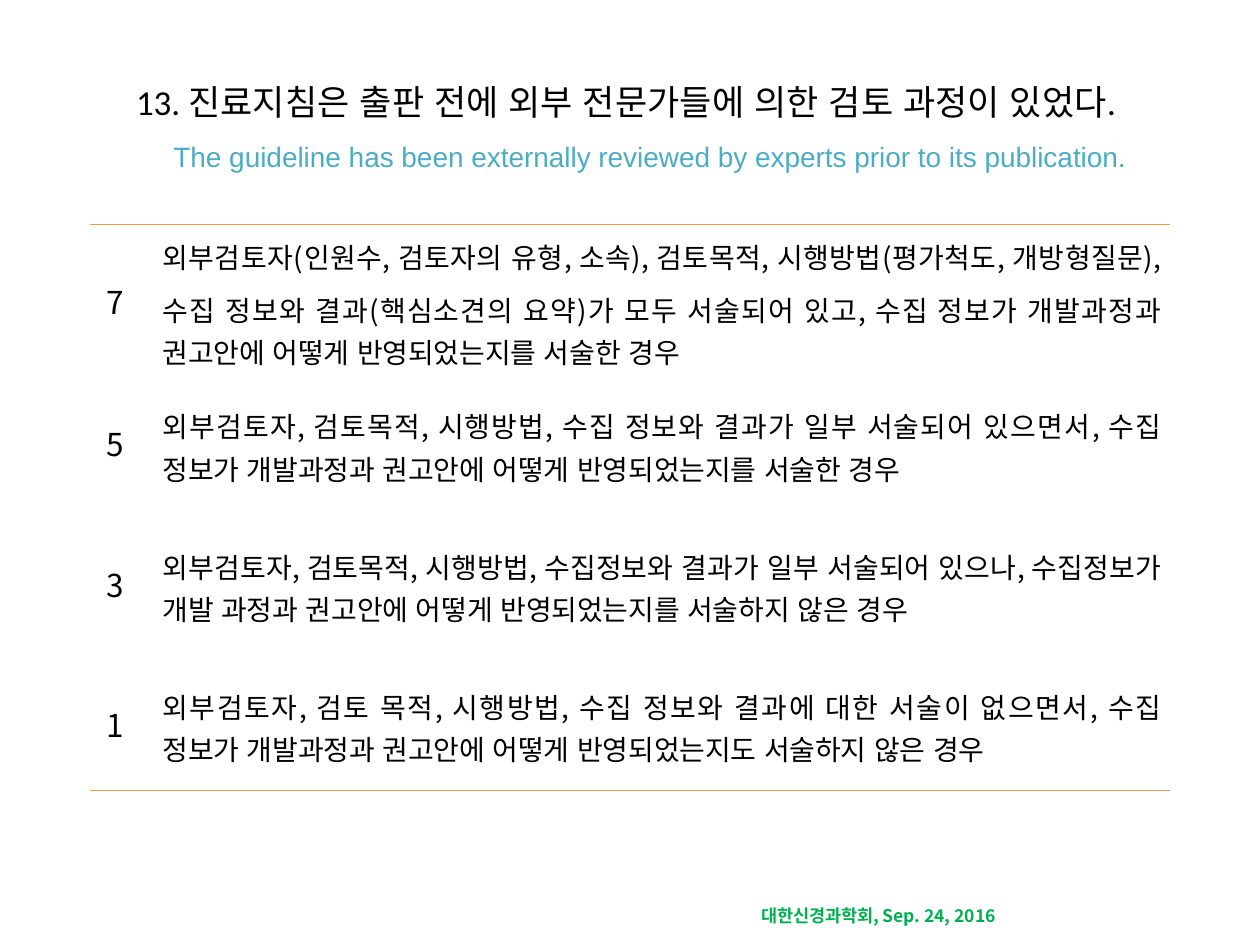
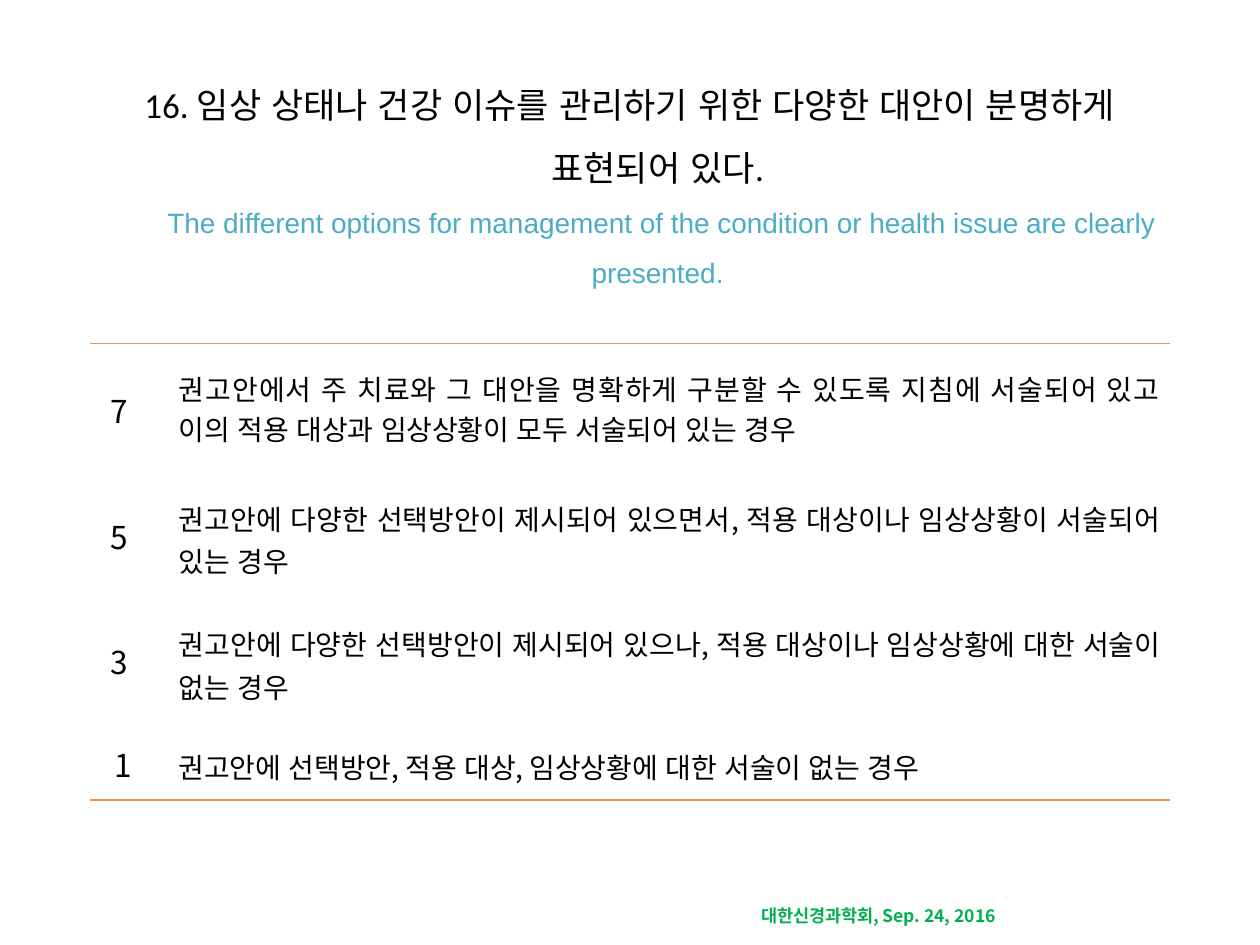
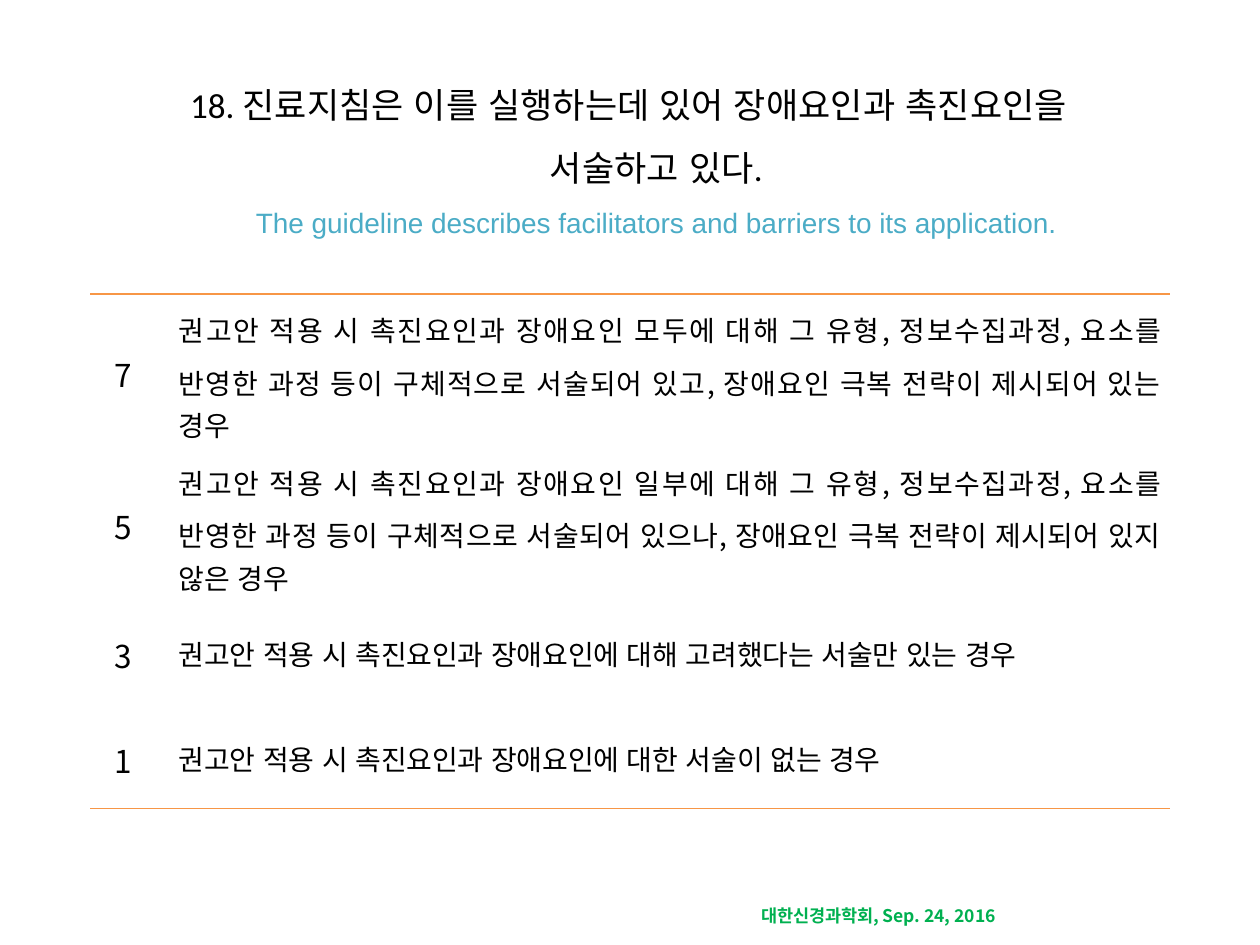
import pptx
import pptx.dml.color
import pptx.enum.text
import pptx.oxml
import pptx.oxml.ns
import pptx.util

RGB = pptx.dml.color.RGBColor
BLACK = RGB(0x00, 0x00, 0x00)
TEAL = RGB(0x4B, 0xAC, 0xC6)
GREEN = RGB(0x00, 0xB0, 0x50)
ORANGE = RGB(0xF7, 0x96, 0x46)

KOREAN = "Noto Sans CJK KR"
EAST_ASIAN = "Arial"
ALIGN = pptx.enum.text.PP_ALIGN
MIDDLE = pptx.enum.text.MSO_ANCHOR.MIDDLE
NO_GRID_STYLE = "{2D5ABB26-0587-4C30-8999-92F81FD0307C}"

# The slide is a grid of 100 columns by 75 rows
COLUMNS, ROWS = 100, 75
TABLE_LEFT, TABLE_WIDTH = 7.15, 85.7

CRITERIA = [
    dict(
        korean="13. 진료지침은 출판 전에 외부 전문가들에 의한 검토 과정이 있었다. ",
        english="The guideline has been externally reviewed by experts prior to its publication. ",
        title_box=(5, 3, 90, 12.5), indent=3.8,
        table_top=17.8, score_width=5.05, heights=[11.14] * 4,
        levels=[
            ("7", "외부검토자(인원수, 검토자의 유형, 소속), 검토목적, 시행방법(평가척도, 개방형질문), "
                  "수집 정보와 결과(핵심소견의 요약)가 모두 서술되어 있고, "
                  "수집 정보가 개발과정과 권고안에 어떻게 반영되었는지를 서술한 경우"),
            ("5", "외부검토자, 검토목적, 시행방법, 수집 정보와 결과가 일부 서술되어 있으면서, "
                  "수집 정보가 개발과정과 권고안에 어떻게 반영되었는지를 서술한 경우"),
            ("3", "외부검토자, 검토목적, 시행방법, 수집정보와 결과가 일부 서술되어 있으나, "
                  "수집정보가 개발 과정과 권고안에 어떻게 반영되었는지를 서술하지 않은 경우"),
            ("1", "외부검토자, 검토 목적, 시행방법, 수집 정보와 결과에 대한 서술이 없으면서, "
                  "수집 정보가 개발과정과 권고안에 어떻게 반영되었는지도 서술하지 않은 경우"),
        ]),
    dict(
        korean="16. 임상 상태나 건강 이슈를 관리하기 위한 다양한 대안이 분명하게 표현되어 있다. ",
        english="The different options for management of the condition or health issue "
                "are clearly presented. ",
        title_box=(5, 6.15, 90, 15.6), indent=5,
        table_top=27.27, score_width=6.35, heights=[9.97, 9.97, 9.97, 6.3],
        levels=[
            ("7 ", "권고안에서 주 치료와 그 대안을 명확하게 구분할 수 있도록 지침에 서술되어 있고 "
                   "이의 적용 대상과 임상상황이 모두 서술되어 있는 경우"),
            ("5 ", "권고안에 다양한 선택방안이 제시되어 있으면서, "
                   "적용 대상이나 임상상황이 서술되어 있는 경우"),
            ("3 ", "권고안에 다양한 선택방안이 제시되어 있으나, "
                   "적용 대상이나 임상상황에 대한 서술이 없는 경우"),
            ("1", "권고안에 선택방안, 적용 대상, 임상상황에 대한 서술이 없는 경우"),
        ]),
    dict(
        korean="18. 진료지침은 이를 실행하는데 있어 장애요인과 촉진요인을 서술하고 있다. ",
        english="The guideline describes facilitators and barriers to its application. ",
        title_box=(9.7, 4.55, 80.4, 14.8), indent=5,
        table_top=23.33, score_width=6.35, heights=[12.1, 12.1, 8.33, 8.33],
        levels=[
            ("7", "권고안 적용 시 촉진요인과 장애요인 모두에 대해 그 유형, 정보수집과정, "
                  "요소를 반영한 과정 등이 구체적으로 서술되어 있고, "
                  "장애요인 극복 전략이 제시되어 있는 경우"),
            ("5", "권고안 적용 시 촉진요인과 장애요인 일부에 대해 그 유형, 정보수집과정, "
                  "요소를 반영한 과정 등이 구체적으로 서술되어 있으나, "
                  "장애요인 극복 전략이 제시되어 있지 않은 경우"),
            ("3", "권고안 적용 시 촉진요인과 장애요인에 대해 고려했다는 서술만 있는 경우"),
            ("1", "권고안 적용 시 촉진요인과 장애요인에 대한 서술이 없는 경우"),
        ]),
]


def grid(units):
    return pptx.util.Inches(units / 10)


def write(paragraph, text, size, font=KOREAN, color=BLACK, bold=False,
          align=ALIGN.LEFT, spacing=1.0):
    """Append a formatted run to the paragraph."""
    paragraph.alignment = align
    paragraph.line_spacing = spacing
    run = paragraph.add_run()
    run.text = text
    run.font.size = pptx.util.Pt(size)
    run.font.name = font
    run.font.bold = bold
    run.font.color.rgb = color
    east_asian = pptx.oxml.parse_xml(
        f'<a:ea {pptx.oxml.ns.nsdecls("a")} typeface="{EAST_ASIAN}"/>')
    run.font._element.find(pptx.oxml.ns.qn("a:latin")).addnext(east_asian)


def add_footer(layout, slide):
    """Build the footer on a slide, then move it to the shared layout."""
    footer = slide.shapes.add_textbox(*map(grid, (59.45, 71.35, 24.4, 2.7)))
    footer.text_frame.word_wrap = True
    write(footer.text_frame.paragraphs[0], "대한신경과학회, Sep. 24, 2016",
          10, color=GREEN, bold=True)
    footer.element.nvSpPr.cNvPr.set("id", "20")
    layout.shapes.element.append(footer.element)


def set_title(slide, korean, english, box, indent):
    title = slide.shapes.title
    title.left, title.top, title.width, title.height = map(grid, box)
    frame = title.text_frame
    frame.auto_size = pptx.enum.text.MSO_AUTO_SIZE.NONE
    frame.vertical_anchor = MIDDLE
    heading = frame.paragraphs[0]
    properties = heading._p.get_or_add_pPr()
    properties.set("marL", str(grid(indent)))
    properties.set("indent", str(-grid(indent)))
    centred = dict(align=ALIGN.CENTER, spacing=1.5)
    write(heading, korean, 20, font="Calibri", **centred)
    heading.add_line_break()
    write(heading, english, 16, font="Arial", color=TEAL, **centred)


def rule_cell(cell, edge):
    """Draw an orange rule on the top (T) or bottom (B) edge of a cell."""
    rule = pptx.oxml.parse_xml(
        f'<a:ln{edge} {pptx.oxml.ns.nsdecls("a")} w="{pptx.util.Pt(1)}">'
        f'<a:solidFill><a:srgbClr val="{ORANGE}"/></a:solidFill></a:ln{edge}>')
    cell._tc.get_or_add_tcPr().insert(0, rule)


def fill_cell(cell, text, right=0.7, **style):
    cell.fill.background()
    cell.vertical_anchor = MIDDLE
    cell.margin_left, cell.margin_right = grid(0.7), grid(right)
    cell.margin_top = cell.margin_bottom = 0
    write(cell.text_frame.paragraphs[0], text, **style)


def add_score_table(slide, levels, top, score_width, heights):
    table = slide.shapes.add_table(
        len(levels), 2, grid(TABLE_LEFT), grid(top),
        grid(TABLE_WIDTH), grid(sum(heights))).table
    table.first_row = table.horz_banding = False
    table._tbl.tblPr.find(pptx.oxml.ns.qn("a:tableStyleId")).text = NO_GRID_STYLE
    table.columns[0].width = grid(score_width)
    table.columns[1].width = grid(TABLE_WIDTH - score_width)
    for index, ((score, meaning), height) in enumerate(zip(levels, heights)):
        table.rows[index].height = grid(height)
        fill_cell(table.cell(index, 0), score, right=1.8, size=18,
                  align=ALIGN.CENTER, spacing=1.15)
        fill_cell(table.cell(index, 1), meaning, size=16,
                  align=ALIGN.JUSTIFY, spacing=1.3)
    for column in range(2):
        rule_cell(table.cell(0, column), "T")
        rule_cell(table.cell(len(levels) - 1, column), "B")


def main():
    deck = pptx.Presentation()
    deck.slide_width, deck.slide_height = grid(COLUMNS), grid(ROWS)
    title_only = deck.slide_layouts[5]
    for criterion in CRITERIA:
        slide = deck.slides.add_slide(title_only)
        set_title(slide, criterion["korean"], criterion["english"],
                  criterion["title_box"], criterion["indent"])
        add_score_table(slide, criterion["levels"], criterion["table_top"],
                        criterion["score_width"], criterion["heights"])
    add_footer(title_only, deck.slides[0])
    deck.save("out.pptx")


if __name__ == "__main__":
    main()
